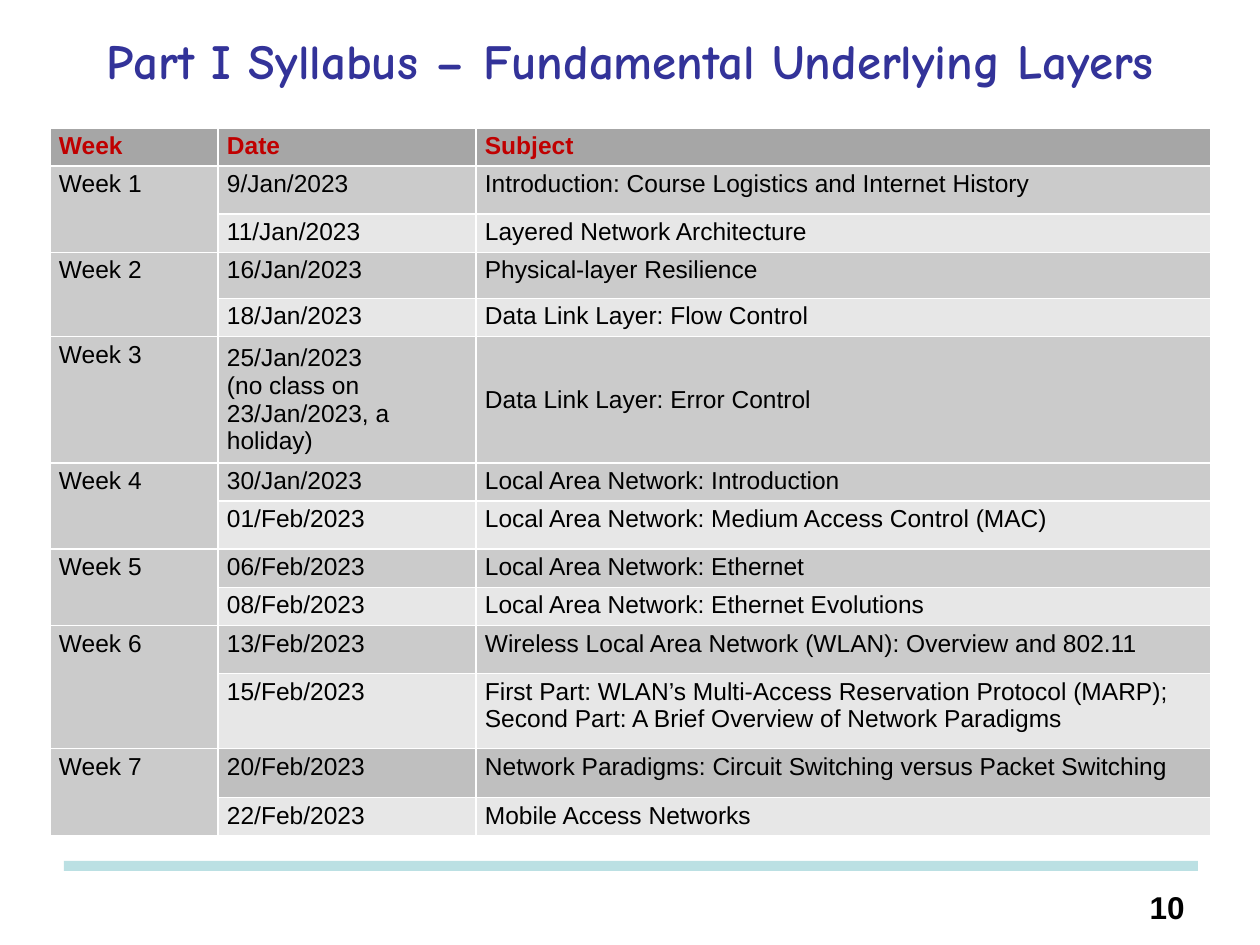
"""Build the Part I syllabus slide with its weekly schedule table."""
from lxml import etree
from pptx import Presentation
from pptx import util as u
from pptx.dml.color import RGBColor
from pptx.enum import shapes, text
from pptx.oxml import ns

SCALE = 914400 / 126


def px(n):
    return u.Emu(round(n * SCALE))


def rgb(code):
    return RGBColor.from_string(code)


prs = Presentation()
prs.slide_width, prs.slide_height = px(1260), px(945)
s = prs.slides.add_slide(prs.slide_layouts[5])

bar = s.shapes.add_shape(shapes.MSO_SHAPE.RECTANGLE, px(64), px(861), px(1134), px(10))
bar.shadow.inherit = False
bar.fill.solid()
bar.fill.fore_color.rgb = rgb("BBE0E3")
bar.line.fill.background()

title = s.shapes.title
title.left, title.top, title.width, title.height = px(14), px(29), px(1232), px(73)
title.text_frame.text = "Part I Syllabus – Fundamental Underlying Layers"
title.text_frame.auto_size = text.MSO_AUTO_SIZE.NONE
title.text_frame.vertical_anchor = text.MSO_ANCHOR.MIDDLE

number = s.shapes.add_textbox(px(1113), px(882), px(84), px(53))
number.text_frame.word_wrap = True
number.text_frame.text = "10"

for sp, align, font, size, color in (
    (title, text.PP_ALIGN.CENTER, "Comic Neue", 28, "333399"),
    (number, text.PP_ALIGN.RIGHT, "Arial", 18, "000000"),
):
    p = sp.text_frame.paragraphs[0]
    p.alignment = align
    r = p.runs[0]
    r.font.name, r.font.size, r.font.bold = font, u.Pt(size), True
    r.font.color.rgb = rgb(color)
title.text_frame.paragraphs[0].line_spacing = 0.8

rows = [
    (37, "Week", "Date", "Subject"),
    (48, "Week 1", "9/Jan/2023", "Introduction: Course Logistics and Internet History"),
    (37, "", "11/Jan/2023", "Layered Network Architecture"),
    (46, "Week 2", "16/Jan/2023", "Physical-layer Resilience"),
    (37, "", "18/Jan/2023", "Data Link Layer: Flow Control"),
    (119, "Week 3", "25/Jan/2023\v(no class on 23/Jan/2023, a holiday)", "Data Link Layer: Error Control"),
    (37, "Week 4", "30/Jan/2023", "Local Area Network: Introduction"),
    (48, "", "01/Feb/2023", "Local Area Network: Medium Access Control (MAC)"),
    (37, "Week 5", "06/Feb/2023", "Local Area Network: Ethernet"),
    (36, "", "08/Feb/2023", "Local Area Network: Ethernet Evolutions"),
    (48, "Week 6", "13/Feb/2023", "Wireless Local Area Network (WLAN): Overview and 802.11"),
    (75, "", "15/Feb/2023", "First Part: WLAN’s Multi-Access Reservation Protocol (MARP);\n"
                            "Second Part: A Brief Overview of Network Paradigms"),
    (49, "Week 7", "20/Feb/2023", "Network Paradigms: Circuit Switching versus Packet Switching"),
    (36, "", "22/Feb/2023", "Mobile Access Networks"),
]
widths = [168, 258, 735]
heights = [row[0] for row in rows]
table = s.shapes.add_table(
    len(rows), len(widths), px(50), px(128), px(sum(widths)), px(sum(heights))
).table
for column, width in zip(table.columns, widths):
    column.width = px(width)

for i, (height, *labels) in enumerate(rows):
    table.rows[i].height = px(height)
    week = labels[0]
    for j, label in enumerate(labels):
        cell = table.cell(i, j)
        cell.margin_left = cell.margin_right = px(9)
        cell.margin_top = cell.margin_bottom = u.Pt(2.5)
        if week == "Week 3" and j > 0:
            cell.vertical_anchor = text.MSO_ANCHOR.MIDDLE
        tcPr = cell._tc.get_or_add_tcPr()
        for side in ("a:lnL", "a:lnR", "a:lnT", "a:lnB"):
            ln = etree.SubElement(tcPr, ns.qn(side), w=str(u.Pt(1)))
            fill = etree.SubElement(ln, ns.qn("a:solidFill"))
            etree.SubElement(fill, ns.qn("a:srgbClr"), val="FFFFFF")
        if i == 0:
            color = "A6A6A6"
        elif week == "Week 7" and j > 0:
            color = "BFBFBF"
        else:
            color = "CBCBCB" if week or j == 0 else "E7E7E7"
        cell.fill.solid()
        cell.fill.fore_color.rgb = rgb(color)
        cell.text_frame.text = label
        for p in cell.text_frame.paragraphs:
            p.font.size = u.Pt(14)
            for r in p.runs:
                r.font.name, r.font.size, r.font.bold = "Arial", u.Pt(14), i == 0
                r.font.color.rgb = rgb("C00000" if i == 0 else "000000")
    if not week:
        table.cell(i - 1, 0).merge(table.cell(i, 0))

prs.save("out.pptx")
